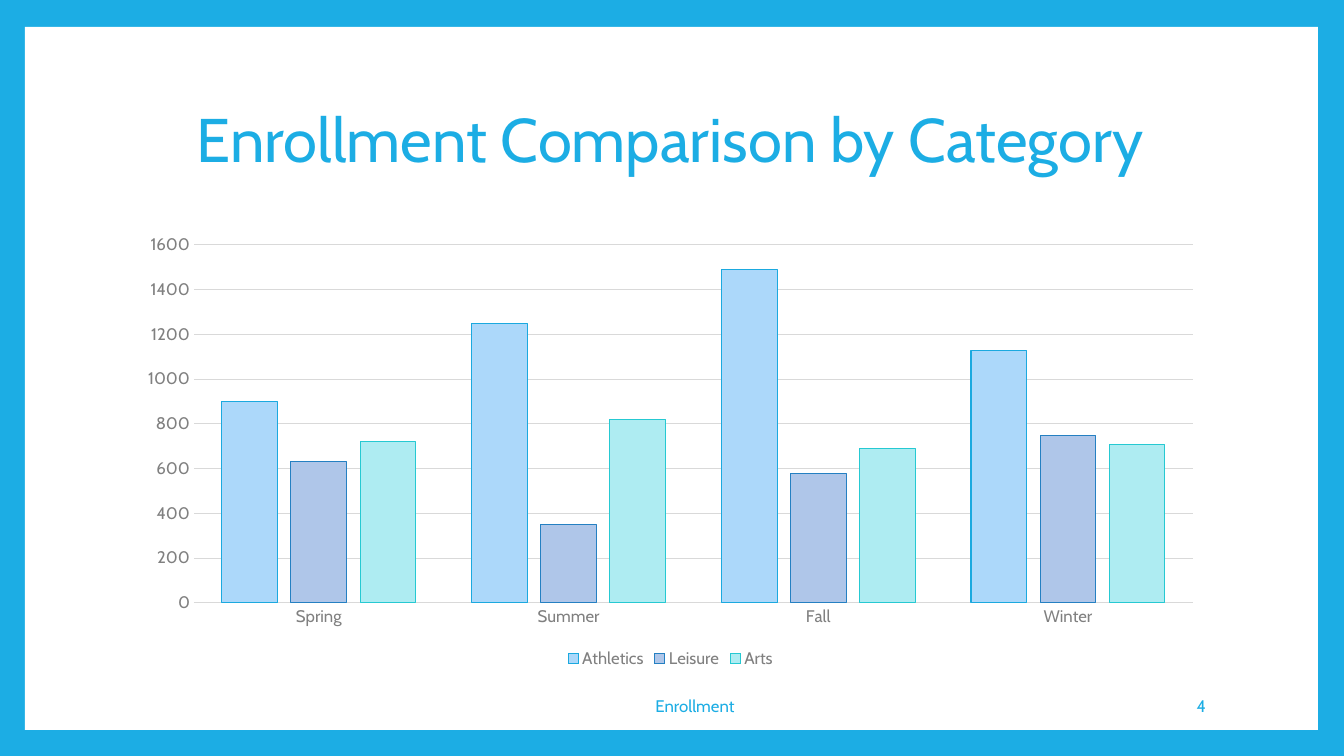
from lxml.etree import SubElement
from pptx import Presentation
from pptx.chart.data import CategoryChartData
from pptx.dml.color import RGBColor
from pptx.enum.chart import XL_CHART_TYPE as ChartType
from pptx.enum.chart import XL_LEGEND_POSITION as LegendPosition
from pptx.enum.chart import XL_TICK_MARK as TickMark
from pptx.enum.shapes import MSO_SHAPE as ShapeType
from pptx.enum.text import MSO_ANCHOR as Anchor
from pptx.enum.text import PP_ALIGN as Align
from pptx.oxml.ns import qn
from pptx.util import Emu, Pt

SLIDE_WIDTH, SLIDE_HEIGHT = 1344, 756
EMU_PER_PX = 12192000 / SLIDE_WIDTH
FONT = "Cabin"
COLORS = {
    "accent": "1CADE4",
    "panel": "FFFFFF",
    "label": "808080",
    "grid": "D9D9D9",
}
SEASONS = ["Spring", "Summer", "Fall", "Winter"]
# name, values, fill, outline
ENROLLMENT = [
    ("Athletics", (900, 1250, 1490, 1130), "ACD8FA", "1BA9DF"),
    ("Leisure", (630, 350, 580, 750), "AFC6E9", "2580C2"),
    ("Arts", (720, 820, 690, 710), "AEECF2", "26C9D2"),
]


def px(length):
    return Emu(round(length * EMU_PER_PX))


def emu_box(box):
    return [px(length) for length in box]


def rgb(color):
    return RGBColor.from_string(COLORS.get(color, color))


def format_font(font, size, color):
    font.name = FONT
    font.size = Pt(size)
    font.color.rgb = rgb(color)


def format_line(line, color):
    line.color.rgb = rgb(color)
    line.width = Pt(0.75)


def write_text(shape, text, size=12, color="accent", align=Align.CENTER, line_spacing=None):
    frame = shape.text_frame
    frame.word_wrap = True
    frame.vertical_anchor = Anchor.MIDDLE
    paragraph = frame.paragraphs[0]
    paragraph.alignment = align
    paragraph.line_spacing = line_spacing
    run = paragraph.add_run()
    run.text = text
    format_font(run.font, size, color)


def add_frame(slide, box):
    """Colour the background and lay the white panel over it."""
    slide.background.fill.solid()
    slide.background.fill.fore_color.rgb = rgb("accent")
    panel = slide.shapes.add_shape(ShapeType.RECTANGLE, *emu_box(box))
    panel.shadow.inherit = False
    panel.fill.solid()
    panel.fill.fore_color.rgb = rgb("panel")
    panel.line.fill.background()
    # Send the panel behind the title placeholder.
    slide.shapes._spTree.insert(2, panel._element)


def add_title(slide, text, box):
    title = slide.shapes.title
    title.left, title.top, title.width, title.height = emu_box(box)
    write_text(title, text, size=44, line_spacing=0.9)


def set_plot_area(chart, box, plot_box):
    """Fix the inner plot area; both boxes are in slide px."""
    left, top, width, height = box
    plot_left, plot_top, plot_width, plot_height = plot_box
    plot_area = chart._chartSpace.chart.plotArea
    for old_layout in plot_area.findall(qn("c:layout")):
        plot_area.remove(old_layout)
    layout = SubElement(plot_area, qn("c:layout"))
    plot_area.insert(0, layout)
    manual = SubElement(layout, qn("c:manualLayout"))
    settings = {
        "layoutTarget": "inner",
        "xMode": "edge",
        "yMode": "edge",
        "x": (plot_left - left) / width,
        "y": (plot_top - top) / height,
        "w": plot_width / width,
        "h": plot_height / height,
    }
    for tag, value in settings.items():
        SubElement(manual, qn(f"c:{tag}")).set("val", str(value))


def format_axes(chart):
    for axis in (chart.category_axis, chart.value_axis):
        axis.major_tick_mark = axis.minor_tick_mark = TickMark.NONE
        format_font(axis.tick_labels.font, 12, "label")
    format_line(chart.category_axis.format.line, "grid")
    value_axis = chart.value_axis
    value_axis.minimum_scale, value_axis.maximum_scale = 0, 1600
    value_axis.major_unit = 200
    value_axis.format.line.fill.background()
    format_line(value_axis.major_gridlines.format.line, "grid")


def add_enrollment_chart(slide, box, plot_box):
    data = CategoryChartData()
    data.categories = SEASONS
    for name, values, _, _ in ENROLLMENT:
        data.add_series(name, values)
    chart = slide.shapes.add_chart(
        ChartType.COLUMN_CLUSTERED, *emu_box(box), data
    ).chart
    format_font(chart.font, 10, "000000")
    chart.has_title = False
    chart.has_legend = True
    chart.legend.position = LegendPosition.BOTTOM
    chart.legend.include_in_layout = False
    format_font(chart.legend.font, 12, "label")
    format_axes(chart)
    plot = chart.plots[0]
    plot.gap_width, plot.overlap = 100, -24
    plot.vary_by_categories = False
    for series, (_, _, fill, outline) in zip(plot.series, ENROLLMENT):
        series.format.fill.solid()
        series.format.fill.fore_color.rgb = rgb(fill)
        format_line(series.format.line, outline)
    set_plot_area(chart, box, plot_box)


def add_footer(slide, text, number, top, height):
    for content, left, width, align in (
        (text, 435, 520, Align.CENTER),
        (number, 1028, 188, Align.RIGHT),
    ):
        shape = slide.shapes.add_textbox(*emu_box((left, top, width, height)))
        write_text(shape, content, align=align)


def main():
    presentation = Presentation()
    presentation.slide_width = px(SLIDE_WIDTH)
    presentation.slide_height = px(SLIDE_HEIGHT)
    slide = presentation.slides.add_slide(presentation.slide_layouts[5])
    add_frame(slide, (25, 27, 1293, 703))
    add_title(slide, "Enrollment Comparison by Category", (126, 68, 1089, 149))
    add_enrollment_chart(slide, (126, 227, 1089, 446), (194, 245, 999, 358))
    add_footer(slide, "Enrollment", "4", top=686, height=40)
    presentation.save("out.pptx")


if __name__ == "__main__":
    main()
